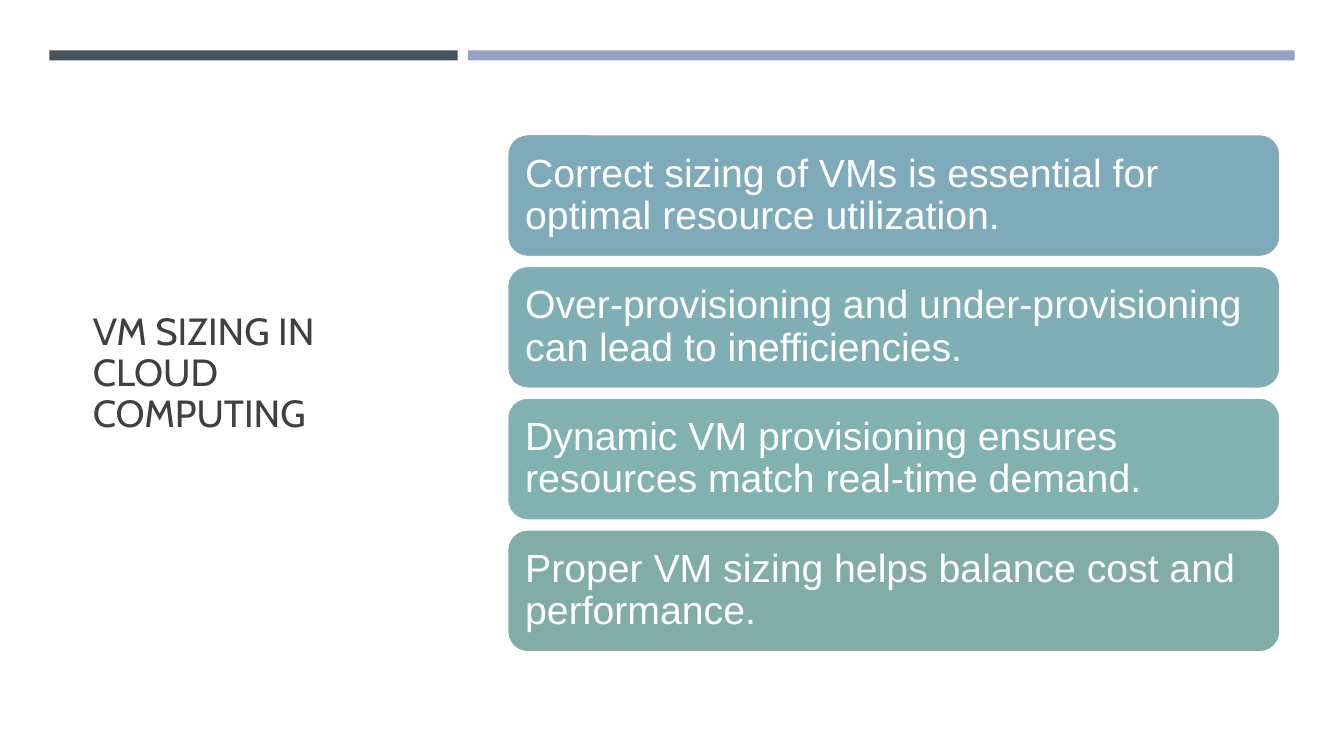
"""Build the slide on VM sizing in cloud computing."""
from pptx import Presentation
from pptx.dml.color import RGBColor
from pptx.enum import shapes, text
from pptx.util import Inches, Pt

TITLE = "VM SIZING IN CLOUD COMPUTING"
BARS = [(0.49, 4.05, "465359"), (4.64, 8.2, "94A3C5")]
POINTS = [
    ("Correct sizing of VMs is essential for optimal resource utilization.", "7FAABA"),
    ("Over-provisioning and under-provisioning can lead to inefficiencies.", "80AEB5"),
    ("Dynamic VM provisioning ensures resources match real-time demand.", "81B1B1"),
    ("Proper VM sizing helps balance cost and performance.", "82ACA6"),
]
CARD_LEFT, CARD_TOP, CARD_WIDTH, CARD_HEIGHT = 5.03, 1.33, 7.67, 1.22
CARD_PITCH = 1.307
CARD_INSET = 0.12


def color(value):
    return RGBColor.from_string(value)


def add_block(slide, kind, left, top, width, height, fill):
    shape = slide.shapes.add_shape(
        kind, Inches(left), Inches(top), Inches(width), Inches(height))
    shape.shadow.inherit = False
    shape.fill.solid()
    shape.fill.fore_color.rgb = color(fill)
    shape.line.fill.background()
    return shape


def write(shape, content, font_name, size, font_color):
    frame = shape.text_frame
    frame.text = content
    frame.word_wrap = True
    frame.auto_size = text.MSO_AUTO_SIZE.NONE
    frame.vertical_anchor = text.MSO_ANCHOR.MIDDLE
    paragraph = frame.paragraphs[0]
    paragraph.alignment = text.PP_ALIGN.LEFT
    paragraph.line_spacing = 0.9
    font = paragraph.runs[0].font
    font.name = font_name
    font.size = Pt(size)
    font.color.rgb = color(font_color)


def add_card(slide, index, content, fill):
    card = add_block(slide, shapes.MSO_SHAPE.ROUNDED_RECTANGLE, CARD_LEFT,
                     CARD_TOP + index * CARD_PITCH, CARD_WIDTH, CARD_HEIGHT, fill)
    card.line.color.rgb = color("FFFFFF")
    card.line.width = Pt(1.75)
    frame = card.text_frame
    frame.margin_left = frame.margin_right = Inches(CARD_INSET)
    frame.margin_top = frame.margin_bottom = Inches(CARD_INSET)
    write(card, content, "Arial", 28, "FFFFFF")


def main():
    presentation = Presentation()
    presentation.slide_width = Inches(13.33)
    presentation.slide_height = Inches(7.5)
    slide = presentation.slides.add_slide(presentation.slide_layouts[5])
    slide.background.fill.solid()
    slide.background.fill.fore_color.rgb = color("FFFFFF")

    title = slide.shapes.title
    title.left, title.top = Inches(0.82), Inches(1.14)
    title.width, title.height = Inches(3.34), Inches(5.15)
    write(title, TITLE, "Cabin", 27, "404040")

    for left, width, fill in BARS:
        add_block(slide, shapes.MSO_SHAPE.RECTANGLE, left, 0.5, width, 0.1, fill)
    for index, (content, fill) in enumerate(POINTS):
        add_card(slide, index, content, fill)

    presentation.save("out.pptx")


if __name__ == "__main__":
    main()
